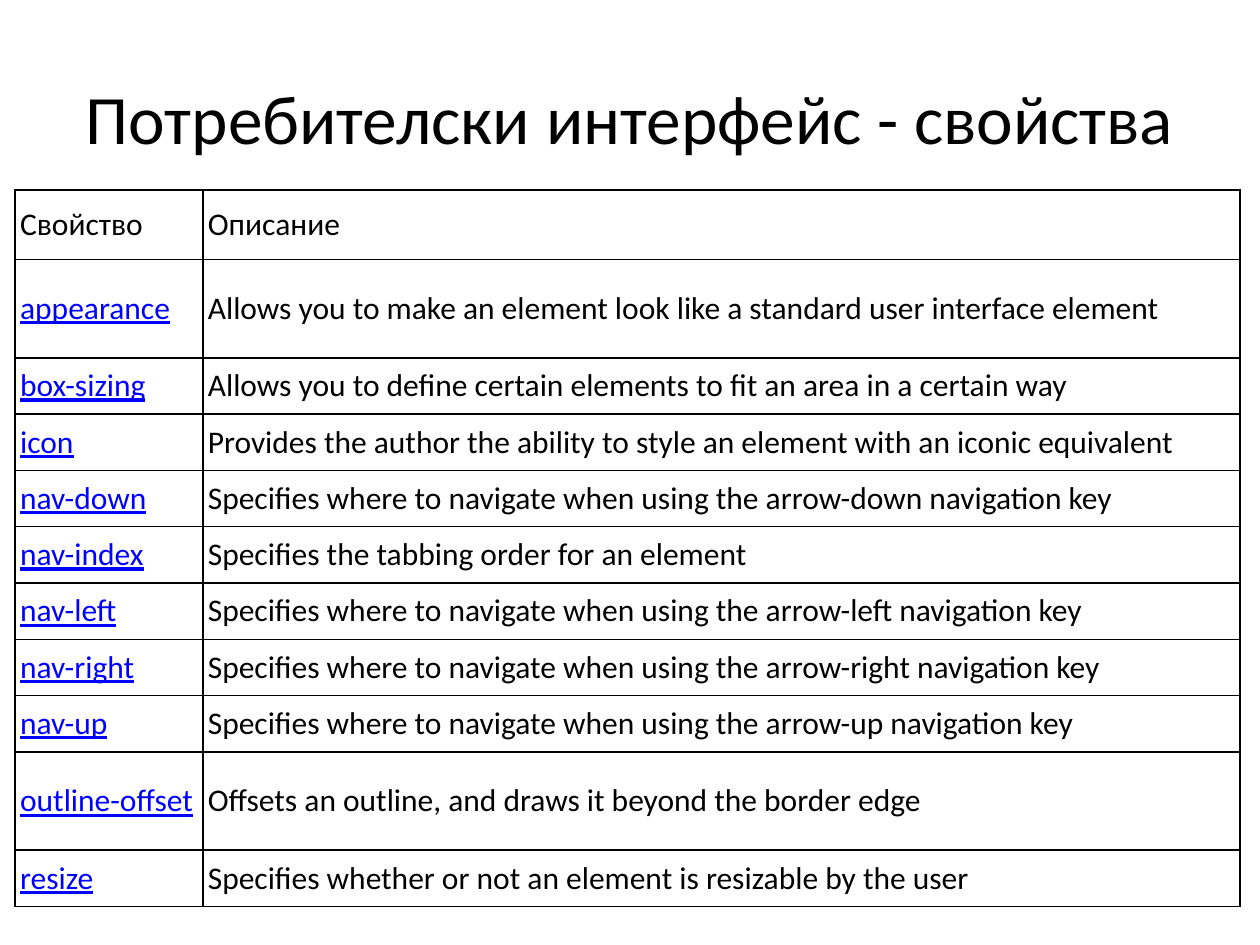
from lxml.etree import SubElement
from pptx import Presentation
from pptx.dml.color import RGBColor
from pptx.enum.text import MSO_ANCHOR as Anchor, PP_ALIGN as Align
from pptx.oxml.ns import qn
from pptx.util import Inches, Pt

BLACK = RGBColor(0x00, 0x00, 0x00)
LINK_BLUE = RGBColor(0x00, 0x00, 0xFF)
FONT = "Calibri"

TITLE = "Потребителски интерфейс - свойства"
HEADER = ("Свойство", "Описание")
NAVIGATE = "Specifies where to navigate when using the arrow-{} navigation key"
PROPERTIES = [
    ("appearance", "Allows you to make an element look like a standard user interface element"),
    ("box-sizing", "Allows you to define certain elements to fit an area in a certain way"),
    ("icon", "Provides the author the ability to style an element with an iconic equivalent"),
    ("nav-down", NAVIGATE.format("down")),
    ("nav-index", "Specifies the tabbing order for an element"),
    ("nav-left", NAVIGATE.format("left")),
    ("nav-right", NAVIGATE.format("right")),
    ("nav-up", NAVIGATE.format("up")),
    ("outline-offset", "Offsets an outline, and draws it beyond the border edge"),
    ("resize", "Specifies whether or not an element is resizable by the user"),
]
COLUMN_WIDTHS = (1.49, 8.23)
ROW_HEIGHT = 0.447
TALL_ROWS = {"Свойство": 0.55, "appearance": 0.78, "outline-offset": 0.78}


def write_text(frame, text, size=18, color=BLACK, underline=False, align=Align.LEFT):
    """Write one formatted paragraph into a text frame."""
    frame.word_wrap = True
    para = frame.paragraphs[0]
    para.alignment = align
    span = para.add_run()
    span.text = text
    span.font.name = FONT
    span.font.size = Pt(size)
    span.font.color.rgb = color
    span.font.underline = underline


def add_title(page):
    """Add the centred slide title."""
    box = page.shapes.add_textbox(Inches(0.5), Inches(0.3), Inches(9), Inches(1.25))
    box.text_frame.vertical_anchor = Anchor.MIDDLE
    write_text(box.text_frame, TITLE, size=39.6, align=Align.CENTER)


def draw_borders(cell):
    """Give all four sides of a cell a thin black line."""
    properties = cell._tc.get_or_add_tcPr()
    for index, side in enumerate(("lnL", "lnR", "lnT", "lnB")):
        line = SubElement(properties, qn(f"a:{side}"), w=str(Pt(1)))
        fill = SubElement(line, qn("a:solidFill"))
        SubElement(fill, qn("a:srgbClr"), val=str(BLACK))
        properties.insert(index, line)


def format_cell(cell):
    """Set the margins, anchor, fill and borders of a cell."""
    cell.margin_left = cell.margin_right = Inches(0.04)
    cell.margin_top = cell.margin_bottom = Inches(0.02)
    cell.vertical_anchor = Anchor.MIDDLE
    cell.fill.background()
    draw_borders(cell)


def add_property_table(page):
    """Add the table of properties and their descriptions."""
    rows = [HEADER, *PROPERTIES]
    heights = [TALL_ROWS.get(name, ROW_HEIGHT) for name, _ in rows]
    table = page.shapes.add_table(
        len(rows), len(HEADER), Inches(0.12), Inches(1.51),
        Inches(sum(COLUMN_WIDTHS)), Inches(sum(heights)),
    ).table
    table.first_row = table.horz_banding = False
    for column, width in zip(table.columns, COLUMN_WIDTHS):
        column.width = Inches(width)
    for row_index, (texts, height) in enumerate(zip(rows, heights)):
        table.rows[row_index].height = Inches(height)
        for column_index, text in enumerate(texts):
            cell = table.cell(row_index, column_index)
            format_cell(cell)
            is_link = row_index > 0 and column_index == 0
            write_text(cell.text_frame, text, underline=is_link,
                       color=LINK_BLUE if is_link else BLACK)


def main():
    """Build the slide and save the deck."""
    deck = Presentation()
    deck.slide_width, deck.slide_height = Inches(10), Inches(7.5)
    page = deck.slides.add_slide(deck.slide_layouts[6])
    add_title(page)
    add_property_table(page)
    deck.save("out.pptx")


if __name__ == "__main__":
    main()
